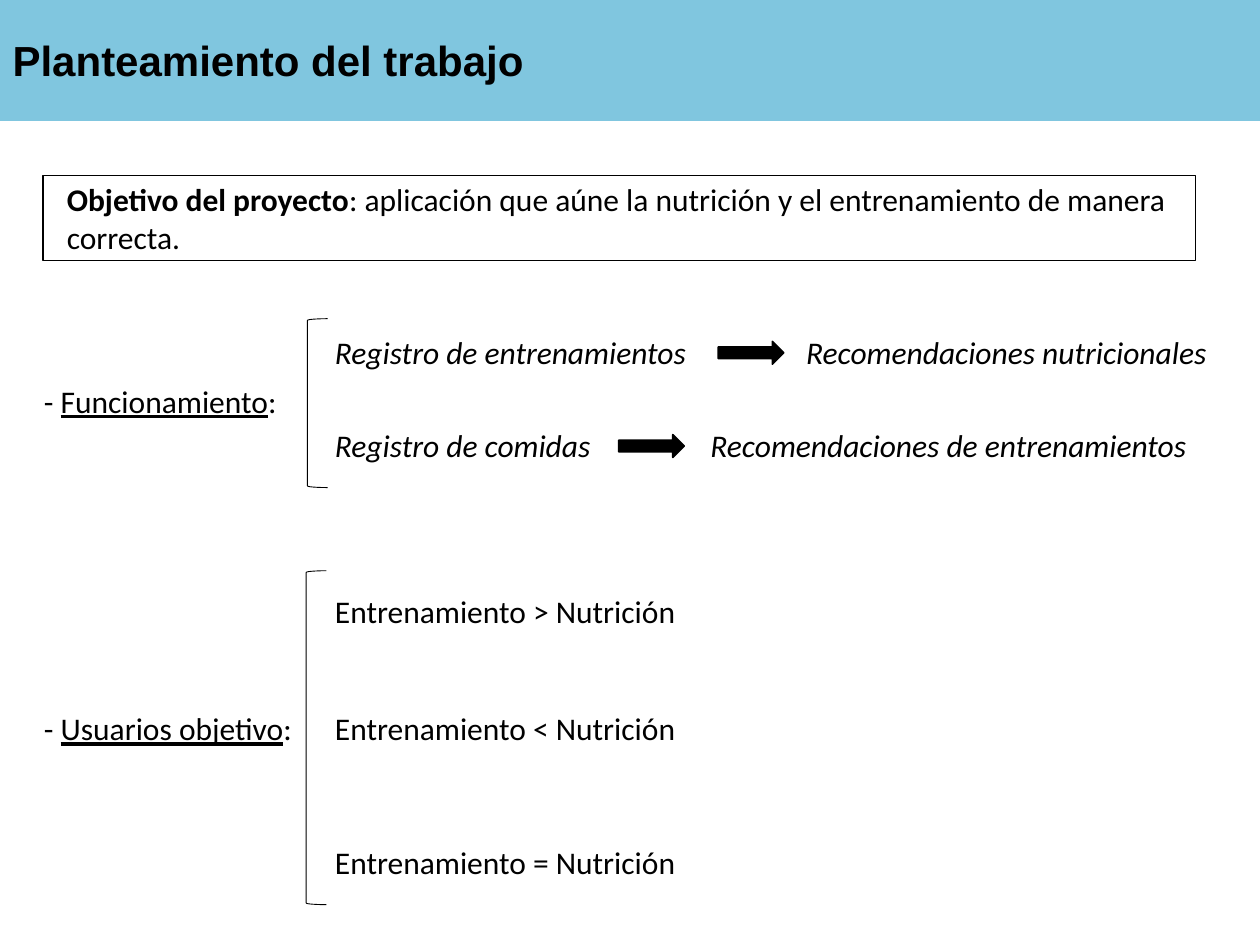
from pptx import Presentation
from pptx.dml.color import RGBColor
from pptx.enum.shapes import MSO_SHAPE
from pptx.enum.text import MSO_ANCHOR, MSO_AUTO_SIZE, PP_ALIGN
from pptx.util import Inches, Pt

BLACK = RGBColor(0x00, 0x00, 0x00)
SKY = RGBColor(0x80, 0xC6, 0xDF)

RECTANGLE = MSO_SHAPE.RECTANGLE
BRACKET = MSO_SHAPE.LEFT_BRACKET
ARROW = MSO_SHAPE.RIGHT_ARROW
TOP, MIDDLE = MSO_ANCHOR.TOP, MSO_ANCHOR.MIDDLE
LEFT = PP_ALIGN.LEFT
NO_AUTOFIT = MSO_AUTO_SIZE.NONE

TITLE_ONLY = 5
LABEL_X, ITEM_X = 0.25, 2.56
LINE_H = 0.4


class SlideBuilder:
    """Holds the text style and the current slide."""

    body = {"name": "Calibri", "size": Pt(18)}
    heading = {"name": "Arial", "size": Pt(24), "bold": True}

    def __init__(self, slide):
        self.slide = slide

    def fill_frame(self, frame, runs, style, **frame_format):
        """Fill a frame with one paragraph of (text, format) runs."""
        settings = {"word_wrap": True, "auto_size": NO_AUTOFIT,
                    "vertical_anchor": TOP, **frame_format}
        for key, value in settings.items():
            setattr(frame, key, value)
        paragraph = frame.paragraphs[0]
        paragraph.alignment = LEFT
        for text, extra in runs:
            run = paragraph.add_run()
            run.text = text
            for key, value in {**style, **extra}.items():
                setattr(run.font, key, value)
            run.font.color.rgb = BLACK

    def title(self, text, width, height):
        banner = self.slide.shapes.title
        banner.left = banner.top = 0
        banner.width, banner.height = Inches(width), Inches(height)
        banner.fill.solid()
        banner.fill.fore_color.rgb = SKY
        banner.line.color.rgb = SKY
        banner.line.width = Pt(1)
        self.fill_frame(banner.text_frame, [(text, {})], self.heading,
                        vertical_anchor=MIDDLE)

    def text(self, x, y, width, *runs):
        box = self.slide.shapes.add_textbox(
            Inches(x), Inches(y), Inches(width), Inches(LINE_H))
        self.fill_frame(box.text_frame, runs, self.body)

    def label(self, y, width, name):
        self.text(LABEL_X, y, width,
                  ("- ", {}), (name, {"underline": True}), (":", {}))

    def shape(self, kind, x, y, width, height, line_width, fill=None):
        shape = self.slide.shapes.add_shape(
            kind, Inches(x), Inches(y), Inches(width), Inches(height))
        shape.shadow.inherit = False
        if fill is None:
            shape.fill.background()
        else:
            shape.fill.solid()
            shape.fill.fore_color.rgb = fill
        shape.line.color.rgb = BLACK
        shape.line.width = Pt(line_width)
        return shape

    def framed_text(self, x, y, width, height, *runs):
        frame = self.shape(RECTANGLE, x, y, width, height, 0.75).text_frame
        self.fill_frame(frame, runs, self.body, margin_left=Inches(0.19),
                        margin_right=0, margin_top=Inches(0.04))


def main():
    prs = Presentation()
    prs.slide_width, prs.slide_height = Inches(10), Inches(7.5)
    slide = prs.slides.add_slide(prs.slide_layouts[TITLE_ONLY])
    builder = SlideBuilder(slide)

    # Title banner and project goal
    builder.title("Planteamiento del trabajo", 10, 0.95)
    builder.framed_text(
        0.34, 1.39, 9.15, 0.68,
        ("Objetivo del proyecto", {"bold": True}),
        (": aplicación que aúne la nutrición y el entrenamiento "
         "de manera correcta.", {}))

    # How it works: each record leads to recommendations
    builder.label(2.98, 2.15, "Funcionamiento")
    builder.shape(BRACKET, 2.44, 2.53, 0.16, 1.34, 0.5)
    italic = {"italic": True}
    flows = [
        (2.59, "Registro de entrenamientos", 5.7,
         "Recomendaciones nutricionales", 6.3),
        (3.33, "Registro de comidas", 4.91,
         "Recomendaciones de entrenamientos", 5.54),
    ]
    for y, record, arrow_x, advice, advice_x in flows:
        builder.text(ITEM_X, y, arrow_x - ITEM_X, (record, italic))
        builder.shape(ARROW, arrow_x, y + 0.12, 0.52, 0.18, 1, BLACK)
        builder.text(advice_x, y, 9.76 - advice_x, (advice, italic))

    # Target users: balance between training and nutrition
    builder.label(5.58, 2.31, "Usuarios objetivo")
    builder.shape(BRACKET, 2.43, 4.53, 0.16, 2.65, 0.5)
    for y, sign in ((4.65, ">"), (5.58, "<"), (6.64, "=")):
        builder.text(ITEM_X, y, 3.32, (f"Entrenamiento {sign} Nutrición", {}))

    prs.save("out.pptx")


if __name__ == "__main__":
    main()
